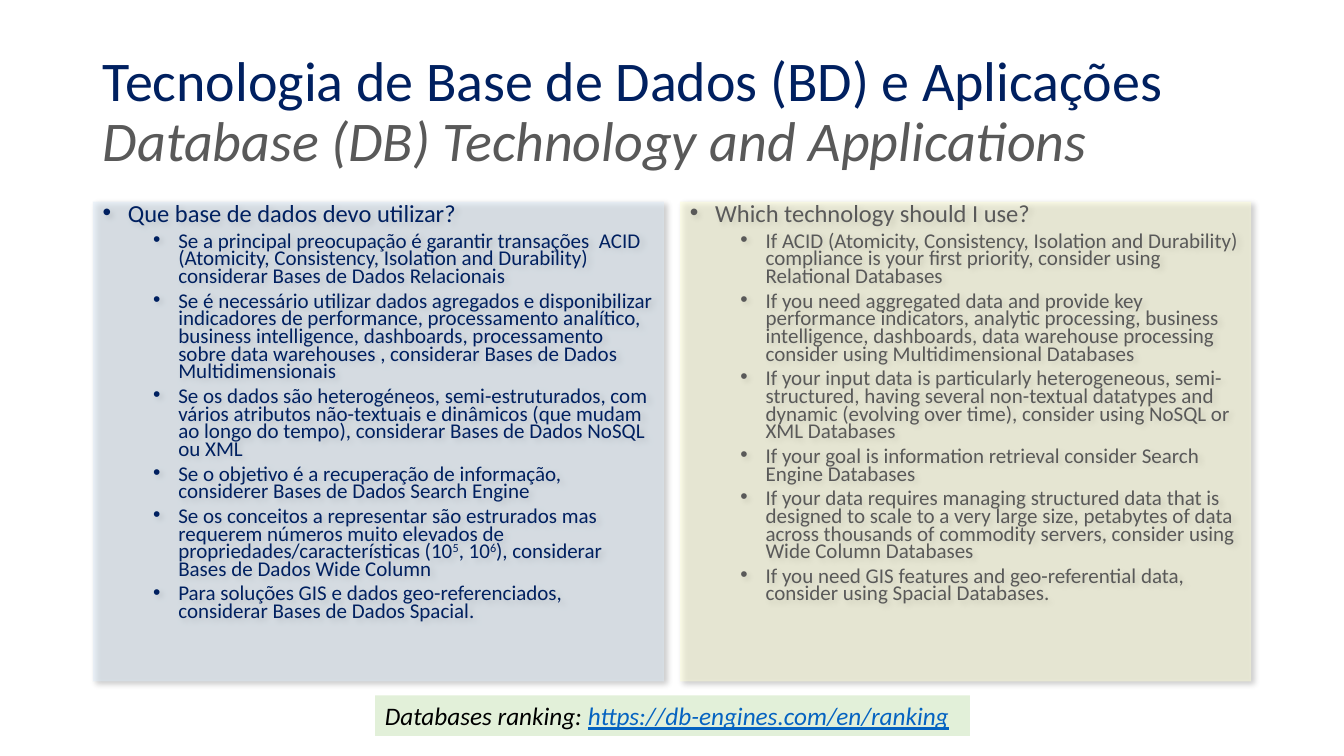
from dataclasses import dataclass

from lxml import etree
from pptx import Presentation
from pptx.dml.color import RGBColor
from pptx.enum.shapes import MSO_SHAPE
from pptx.enum.text import MSO_ANCHOR, MSO_AUTO_SIZE, PP_ALIGN
from pptx.oxml.ns import qn
from pptx.util import Inches, Pt

RECTANGLE = MSO_SHAPE.RECTANGLE
TOP, MIDDLE = MSO_ANCHOR.TOP, MSO_ANCHOR.MIDDLE
LEFT = PP_ALIGN.LEFT
NO_AUTOFIT = MSO_AUTO_SIZE.NONE


@dataclass(frozen=True)
class Theme:
    font: str = "Calibri"
    navy: str = "002060"
    gray: str = "595959"
    black: str = "000000"
    link: str = "0563C1"
    blue_panel: str = "DEEBF7"
    yellow_panel: str = "FFFFD9"
    green_panel: str = "E2F0D9"
    title_size: float = 40
    question_size: float = 17.5
    answer_size: float = 15
    ranking_size: float = 18


theme = Theme()


def style(span, size, color, italic=False):
    span.font.name = theme.font
    span.font.size = Pt(size)
    span.font.color.rgb = RGBColor.from_string(color)
    span.font.italic = italic


def add_box(left, top, width, height, color):
    box = page.shapes.add_shape(
        RECTANGLE, Inches(left), Inches(top), Inches(width), Inches(height))
    box.shadow.inherit = False
    box.fill.solid()
    box.fill.fore_color.rgb = RGBColor.from_string(color)
    box.line.fill.background()
    box.text_frame.word_wrap = True
    box.text_frame.auto_size = NO_AUTOFIT
    box.text_frame.vertical_anchor = TOP
    return box


WIDTH, HEIGHT = 13.33, 7.5
MARGIN, GAP = 0.92, 0.16
CONTENT = WIDTH - 2 * MARGIN
COLUMN = (CONTENT - GAP) / 2

PANELS = [
    (theme.blue_panel, theme.navy, "Que base de dados devo utilizar?", [
        "Se a principal preocupação é garantir transações  ACID (Atomicity, Consistency, "
        "Isolation and Durability) considerar Bases de Dados Relacionais",
        "Se é necessário utilizar dados agregados e disponibilizar indicadores de performance, "
        "processamento analítico, business intelligence, dashboards, processamento sobre "
        "data warehouses , considerar Bases de Dados Multidimensionais",
        "Se os dados são heterogéneos, semi-estruturados, com vários atributos não-textuais e "
        "dinâmicos (que mudam ao longo do tempo), considerar Bases de Dados NoSQL ou XML",
        "Se o objetivo é a recuperação de informação, considerer Bases de Dados Search Engine",
        "Se os conceitos a representar são estrurados mas requerem números muito elevados de "
        "propriedades/características (10^5^, 10^6^), considerar Bases de Dados Wide Column",
        "Para soluções GIS e dados geo-referenciados, considerar Bases de Dados Spacial.",
    ]),
    (theme.yellow_panel, theme.gray, "Which technology should I use?", [
        "If ACID (Atomicity, Consistency, Isolation and Durability) compliance is your first "
        "priority, consider using Relational Databases",
        "If you need aggregated data and provide key performance indicators, analytic "
        "processing, business intelligence, dashboards, data warehouse processing consider "
        "using Multidimensional Databases",
        "If your input data is particularly heterogeneous, semi-structured, having several "
        "non-textual datatypes and dynamic (evolving over time), consider using NoSQL or XML "
        "Databases",
        "If your goal is information retrieval consider Search Engine Databases",
        "If your data requires managing structured data that is designed to scale to a very "
        "large size, petabytes of data across thousands of commodity servers, consider using "
        "Wide Column Databases",
        "If you need GIS features and geo-referential data, consider using Spacial Databases.",
    ]),
]

deck = Presentation()
deck.slide_width, deck.slide_height = Inches(WIDTH), Inches(HEIGHT)
page = deck.slides.add_slide(deck.slide_layouts[5])

title = page.shapes.title
title.left, title.top = Inches(MARGIN), Inches(0.4)
title.width, title.height = Inches(CONTENT), Inches(1.45)
title.text_frame.word_wrap = True
title.text_frame.auto_size = NO_AUTOFIT
title.text_frame.vertical_anchor = MIDDLE
para = title.text_frame.paragraphs[0]
para.text = ("Tecnologia de Base de Dados (BD) e Aplicações\v"
             "Database (DB) Technology and Applications")
para.alignment = LEFT
para.line_spacing = 0.9
portuguese, english = para.runs
style(portuguese, theme.title_size, theme.navy)
style(english, theme.title_size, theme.gray, italic=True)
line_break = para._p.find(qn("a:br"))
etree.SubElement(line_break, qn("a:rPr"), sz=str(int(theme.title_size * 100)))

for column, (fill, color, question, answers) in enumerate(PANELS):
    panel = add_box(MARGIN + column * (COLUMN + GAP), 2, COLUMN, 4.76, fill)
    properties = panel._element.spPr
    fill_color = properties.find(qn("a:solidFill")).find(qn("a:srgbClr"))
    etree.SubElement(fill_color, qn("a:alpha"), val="50000")
    shadow = etree.SubElement(
        properties.find(qn("a:effectLst")), qn("a:outerShdw"),
        blurRad="50800", dist="38100", dir="2700000", algn="tl", rotWithShape="0")
    shadow_color = etree.SubElement(shadow, qn("a:srgbClr"), val=theme.black)
    etree.SubElement(shadow_color, qn("a:alpha"), val="40000")

    frame = panel.text_frame
    for row, text in enumerate([question, *answers]):
        para = frame.add_paragraph() if row else frame.paragraphs[0]
        para.level = 1 if row else 0
        para.alignment = LEFT
        para.line_spacing = 0.7
        para.space_before = Pt(5 if row else 0)
        indents = para._p.get_or_add_pPr()
        indents.set("marL", str(Inches(0.75 if row else 0.25)))
        indents.set("indent", str(Inches(-0.25)))
        etree.SubElement(indents, qn("a:buFont"), typeface="Arial")
        etree.SubElement(indents, qn("a:buChar"), char="•")
        for part, words in enumerate(text.split("^")):
            span = para.add_run()
            span.text = words
            style(span, theme.answer_size if row else theme.question_size, color)
            if part % 2:
                span._r.get_or_add_rPr().set("baseline", "30000")

ranking = add_box(3.72, 6.9, 5.9, 0.4, theme.green_panel)
para = ranking.text_frame.paragraphs[0]
para.alignment = LEFT
for text, color in [("Databases ranking: ", theme.black),
                    ("https://db-engines.com/en/ranking", theme.link)]:
    span = para.add_run()
    span.text = text
    style(span, theme.ranking_size, color, italic=True)
    span.font.underline = color == theme.link

deck.save("out.pptx")
